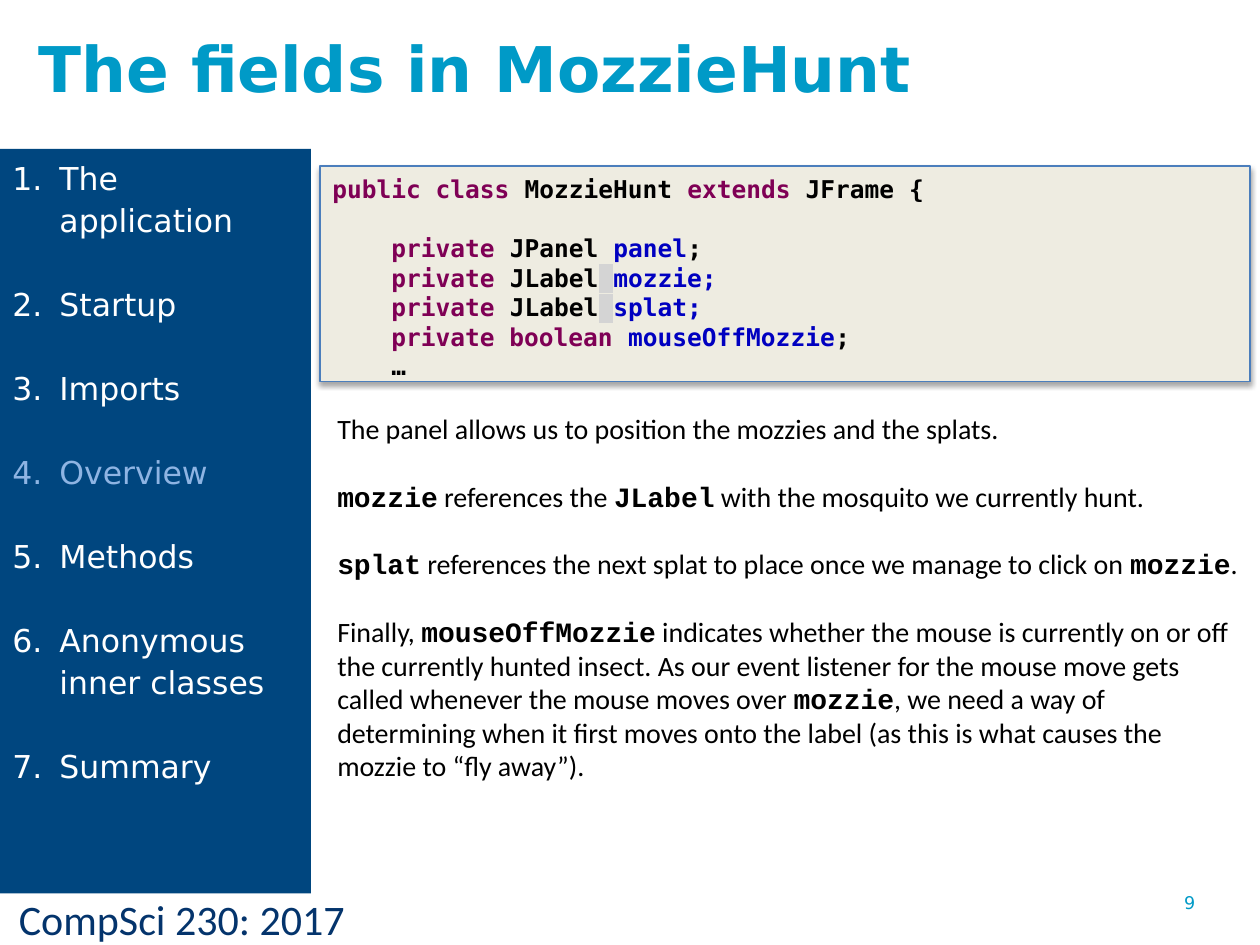
from lxml import etree
from pptx import Presentation
from pptx.dml.color import RGBColor
from pptx.enum.shapes import MSO_SHAPE
from pptx.enum.text import MSO_ANCHOR, PP_ALIGN
from pptx.oxml.ns import qn
from pptx.util import Cm, Pt

RECTANGLE = MSO_SHAPE.RECTANGLE
TOP, MIDDLE = MSO_ANCHOR.TOP, MSO_ANCHOR.MIDDLE
LEFT = PP_ALIGN.LEFT

COLORS = {
    "title": "009AC7", "footer": "04346C", "sidebar": "00467F",
    "white": "FFFFFF", "current": "8EB4E3", "panel": "EEECE1",
    "border": "4B7EBC", "black": "000000", "keyword": "7F0055",
    "field": "0000C0", "marker": "D4D4D4",
}
SANS, MONO, BODY, INLINE = "DejaVu Sans", "DejaVu Sans Mono", "Calibri", "Courier New"

LABELS = [
    ("The fields in MozzieHunt", (0.53, 0.36, 18.11, 1.98), SANS, 36, "title", True, MIDDLE),
    ("CompSci 230: 2017", (0.13, 17.88, 10.29, 1.27), BODY, 24, "footer", False, TOP),
    ("9", (23.62, 17.86, 1.78, 1.32), SANS, 10, "title", False, TOP),
]
TOPICS = ["The application", "Startup", "Imports", "Overview", "Methods",
          "Anonymous inner classes", "Summary"]
CURRENT_TOPIC = "Overview"
CODE = [
    [("public class ", "keyword"), ("MozzieHunt ", "black"),
     ("extends ", "keyword"), ("JFrame {", "black")],
    [],
    [("    private ", "keyword"), ("JPanel ", "black"), ("panel", "field"), (";", "black")],
    [("    private ", "keyword"), ("JLabel", "black"), (" ", "marker"), ("mozzie;", "field")],
    [("    private ", "keyword"), ("JLabel", "black"), (" ", "marker"), ("splat;", "field")],
    [("    private boolean ", "keyword"), ("mouseOffMozzie", "field"), (";", "black")],
    [("    …", "black")],
]
NOTES = [
    ["The panel allows us to position the mozzies and the splats."],
    ["", "mozzie", " references the ", "JLabel", " with the mosquito we currently hunt."],
    ["", "splat", " references the next splat to place once we manage to click on ",
     "mozzie", "."],
    ["Finally, ", "mouseOffMozzie",
     " indicates whether the mouse is currently on or off the currently hunted insect. "
     "As our event listener for the mouse move gets called whenever the mouse moves over ",
     "mozzie",
     ", we need a way of determining when it first moves onto the label "
     "(as this is what causes the mozzie to “fly away”)."],
]


def color(name):
    return RGBColor.from_string(COLORS[name])


def add_box(page, place, anchor=TOP):
    box = page.shapes.add_textbox(*map(Cm, place))
    box.text_frame.word_wrap = True
    box.text_frame.vertical_anchor = anchor
    return box.text_frame


def add_panel(page, place, fill):
    panel = page.shapes.add_shape(RECTANGLE, *map(Cm, place))
    panel.shadow.inherit = False
    panel.fill.solid()
    panel.fill.fore_color.rgb = color(fill)
    panel.line.fill.background()
    return panel


def next_para(frame, index):
    return frame.add_paragraph() if index else frame.paragraphs[0]


def style(para, name, size, shade, bold=False):
    para.font.name = name
    para.font.size = Pt(size)
    para.font.bold = bold
    para.font.color.rgb = color(shade)


def add_child(parent, tag, **attributes):
    return etree.SubElement(parent, qn(tag), **attributes)


def add_shadow(panel):
    effects = panel._element.spPr.find(qn("a:effectLst"))
    shadow = add_child(effects, "a:outerShdw", blurRad=str(Pt(3.1)), dist=str(Pt(1.8)),
                       dir="5400000", rotWithShape="0")
    shade = add_child(shadow, "a:srgbClr", val=COLORS["black"])
    add_child(shade, "a:alpha", val="35000")


def add_code(page):
    panel = add_panel(page, (6.45, 3.35, 18.75, 4.34), "panel")
    panel.line.color.rgb = color("border")
    panel.line.width = Pt(0.75)
    add_shadow(panel)
    frame = add_box(page, (6.45, 3.38, 18.92, 4.32))
    for index, line in enumerate(CODE):
        para = next_para(frame, index)
        para.line_spacing = Pt(16.9)
        style(para, MONO, 14, "black", True)
        for text, role in line:
            span = para.add_run()
            span.text = text
            if role == "marker":
                highlight = add_child(span._r.get_or_add_rPr(), "a:highlight")
                add_child(highlight, "a:srgbClr", val=COLORS["marker"])
            else:
                span.font.color.rgb = color(role)


def add_notes(page):
    frame = add_box(page, (6.55, 8.18, 18.75, 8.46))
    for index, pieces in enumerate(NOTES):
        para = next_para(frame, index)
        if index:
            para.space_before = Pt(19.4)
        style(para, BODY, 16, "black")
        for position, text in enumerate(pieces):
            if text:
                span = para.add_run()
                span.text = text
                if position % 2:
                    span.font.name = INLINE
                    span.font.bold = True


def add_sidebar(page):
    frame = add_panel(page, (0, 3, 6.27, 15.01), "sidebar").text_frame
    frame.word_wrap = True
    frame.vertical_anchor = TOP
    frame.margin_right = Cm(0.4)
    for index, topic in enumerate(TOPICS):
        para = next_para(frame, index)
        para.text = topic
        para.alignment = LEFT
        para.line_spacing = Pt(24)
        if index:
            para.space_before = Pt(24)
        layout = para._p.get_or_add_pPr()
        layout.set("marL", str(Cm(0.95)))
        layout.set("indent", str(-Cm(0.95)))
        add_child(layout, "a:buFont", typeface="+mj-lt")
        add_child(layout, "a:buAutoNum", type="arabicPeriod")
        shade = "current" if topic == CURRENT_TOPIC else "white"
        style(para, SANS, 18, shade)


def main():
    deck = Presentation()
    deck.slide_width, deck.slide_height = Cm(25.4), Cm(19.05)
    page = deck.slides.add_slide(deck.slide_layouts[6])
    for text, place, name, size, shade, bold, anchor in LABELS:
        para = add_box(page, place, anchor).paragraphs[0]
        para.text = text
        style(para, name, size, shade, bold)
    add_code(page)
    add_notes(page)
    add_sidebar(page)
    deck.save("out.pptx")


if __name__ == "__main__":
    main()
